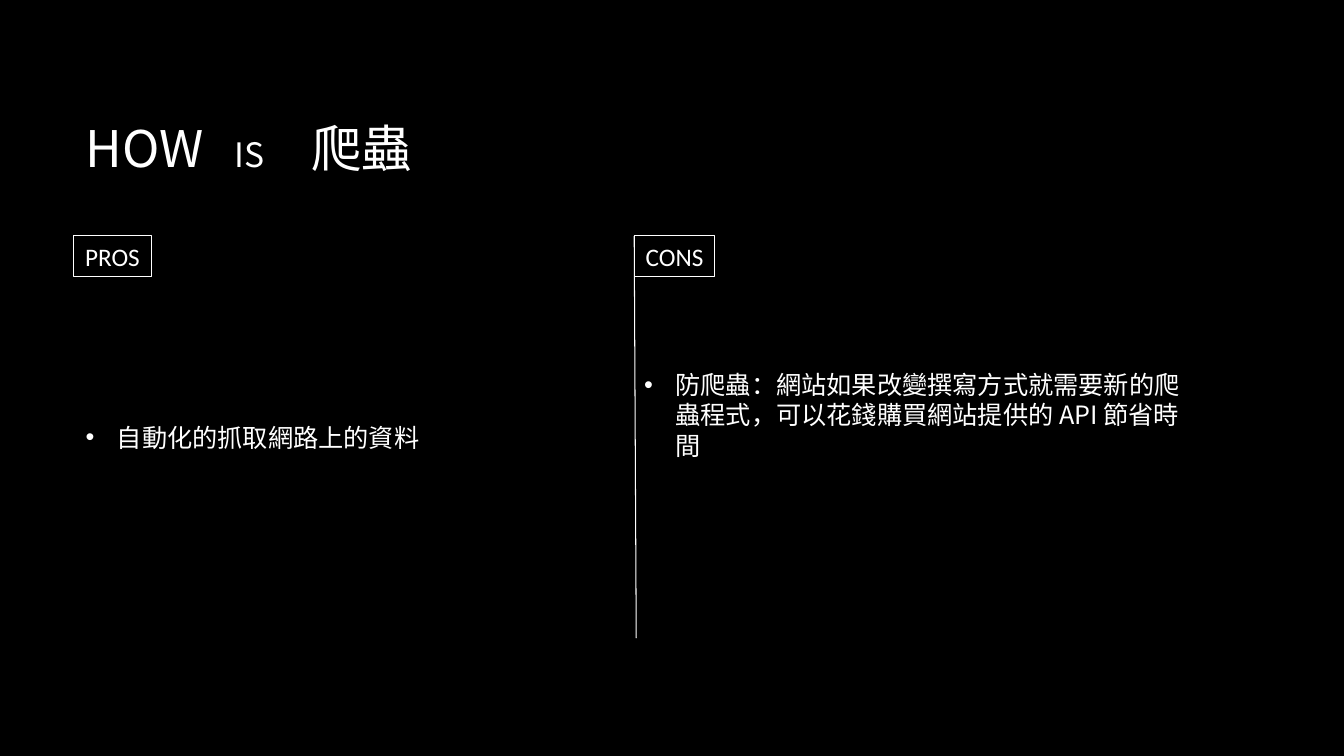
from dataclasses import dataclass

import pptx
import pptx.dml.color
import pptx.enum.shapes
import pptx.enum.text
import pptx.oxml
import pptx.oxml.ns
import pptx.util

BLACK = pptx.dml.color.RGBColor(0, 0, 0)
WHITE = pptx.dml.color.RGBColor(255, 255, 255)
BODY_FONT = "Noto Sans CJK TC"
TAG_FONT = "Calibri"
SLIDE_WIDTH = pptx.util.Inches(13.33)
SLIDE_HEIGHT = pptx.util.Inches(7.5)

# Lengths in percent of the slide's width or height.
MARGIN = 5.63
COLUMN_WIDTH = 41.56
MIDDLE = MARGIN + COLUMN_WIDTH
BODY_TOP, BODY_HEIGHT = 31.2, 53.2
TITLE_TOP, TITLE_HEIGHT = 8.93, 21.2
TAG_HEIGHT = 5.33

TITLE_RUNS = (("HOW", 36), ("\tIS", 24), ("\t爬蟲", 36))
TITLE_TABS = (1.48, 2.24)
BULLET_INDENT = pptx.util.Inches(0.31)


@dataclass(frozen=True)
class Box:
    left: float
    top: float
    width: float
    height: float

    def lengths(self) -> tuple[int, int, int, int]:
        """Left, top, width and height in EMU."""
        return (across(self.left), down(self.top), across(self.width), down(self.height))


@dataclass(frozen=True)
class Side:
    tag: str
    tag_left: float
    tag_width: float
    text: str
    text_left: float
    bottom_inset: float


SIDES = (
    Side("PROS", 5.48, 5.78, "自動化的抓取網路上的資料", MARGIN, 0.05),
    Side("CONS", MIDDLE, 6,
         "防爬蟲：網站如果改變撰寫方式就需要新的爬蟲程式，可以花錢購買網站提供的 API 節省時間",
         MIDDLE, 0.49),
)


def across(percent: float) -> int:
    return round(SLIDE_WIDTH * percent / 100)


def down(percent: float) -> int:
    return round(SLIDE_HEIGHT * percent / 100)


def set_attributes(target, values: dict) -> None:
    for name, value in values.items():
        setattr(target, name, value)


def add_child(parent, tag: str, **attributes: str):
    child = pptx.oxml.ns.qn(tag)
    element = parent.makeelement(child, attributes)
    parent.append(element)
    return element


def add_run(paragraph, text: str, size: float, font: str) -> None:
    run = paragraph.add_run()
    run.text = text
    set_attributes(run.font, {"size": pptx.util.Pt(size), "name": font})
    run.font.color.rgb = WHITE
    add_child(run.font._element, "a:ea", typeface=font)


def add_text_box(slide, box: Box, bottom_inset: float = 0.05):
    """Adds a wrapping, vertically centred text box and returns its paragraph."""
    frame = slide.shapes.add_textbox(*box.lengths()).text_frame
    set_attributes(frame, {
        "word_wrap": True,
        "vertical_anchor": pptx.enum.text.MSO_ANCHOR.MIDDLE,
        "margin_bottom": pptx.util.Inches(bottom_inset),
    })
    return frame.paragraphs[0]


def add_title(slide) -> None:
    paragraph = add_text_box(slide, Box(MARGIN, TITLE_TOP, 2 * COLUMN_WIDTH, TITLE_HEIGHT))
    tabs = add_child(paragraph._p.get_or_add_pPr(), "a:tabLst")
    for position in TITLE_TABS:
        add_child(tabs, "a:tab", pos=str(pptx.util.Inches(position)), algn="l")
    for text, size in TITLE_RUNS:
        add_run(paragraph, text, size, BODY_FONT)


def add_bullet_text(slide, side: Side) -> None:
    box = Box(side.text_left, BODY_TOP, COLUMN_WIDTH, BODY_HEIGHT)
    paragraph = add_text_box(slide, box, side.bottom_inset)
    paragraph.space_after = pptx.util.Pt(10)
    properties = paragraph._p.get_or_add_pPr()
    properties.set("marL", str(BULLET_INDENT))
    properties.set("indent", str(-BULLET_INDENT))
    add_child(add_child(properties, "a:buClr"), "a:srgbClr", val=str(WHITE))
    add_child(properties, "a:buFont", typeface="Arial")
    add_child(properties, "a:buChar", char="•")
    add_run(paragraph, side.text, 18, BODY_FONT)


def style_line(line) -> None:
    line.color.rgb = WHITE
    line.width = pptx.util.Pt(0.75)


def add_tag(slide, side: Side) -> None:
    box = Box(side.tag_left, BODY_TOP, side.tag_width, TAG_HEIGHT)
    shape = slide.shapes.add_shape(pptx.enum.shapes.MSO_SHAPE.RECTANGLE, *box.lengths())
    shape.shadow.inherit = False
    shape.fill.solid()
    shape.fill.fore_color.rgb = BLACK
    style_line(shape.line)
    set_attributes(shape.text_frame, {
        "word_wrap": False,
        "vertical_anchor": pptx.enum.text.MSO_ANCHOR.TOP,
    })
    paragraph = shape.text_frame.paragraphs[0]
    paragraph.alignment = pptx.enum.text.PP_ALIGN.CENTER
    add_run(paragraph, side.tag, 18, TAG_FONT)


def add_divider(slide) -> None:
    connector = slide.shapes.add_connector(
        pptx.enum.shapes.MSO_CONNECTOR.STRAIGHT,
        across(MIDDLE), down(BODY_TOP),
        across(MIDDLE + 0.15), down(BODY_TOP + BODY_HEIGHT))
    style_line(connector.line)
    add_child(connector._element.spPr, "a:effectLst")


def main() -> None:
    presentation = pptx.Presentation()
    set_attributes(presentation, {"slide_width": SLIDE_WIDTH, "slide_height": SLIDE_HEIGHT})
    slide = presentation.slides.add_slide(presentation.slide_layouts[6])
    slide.background.fill.solid()
    slide.background.fill.fore_color.rgb = BLACK
    add_title(slide)
    for side in SIDES:
        add_bullet_text(slide, side)
        add_tag(slide, side)
    add_divider(slide)
    presentation.save("out.pptx")


if __name__ == "__main__":
    main()
